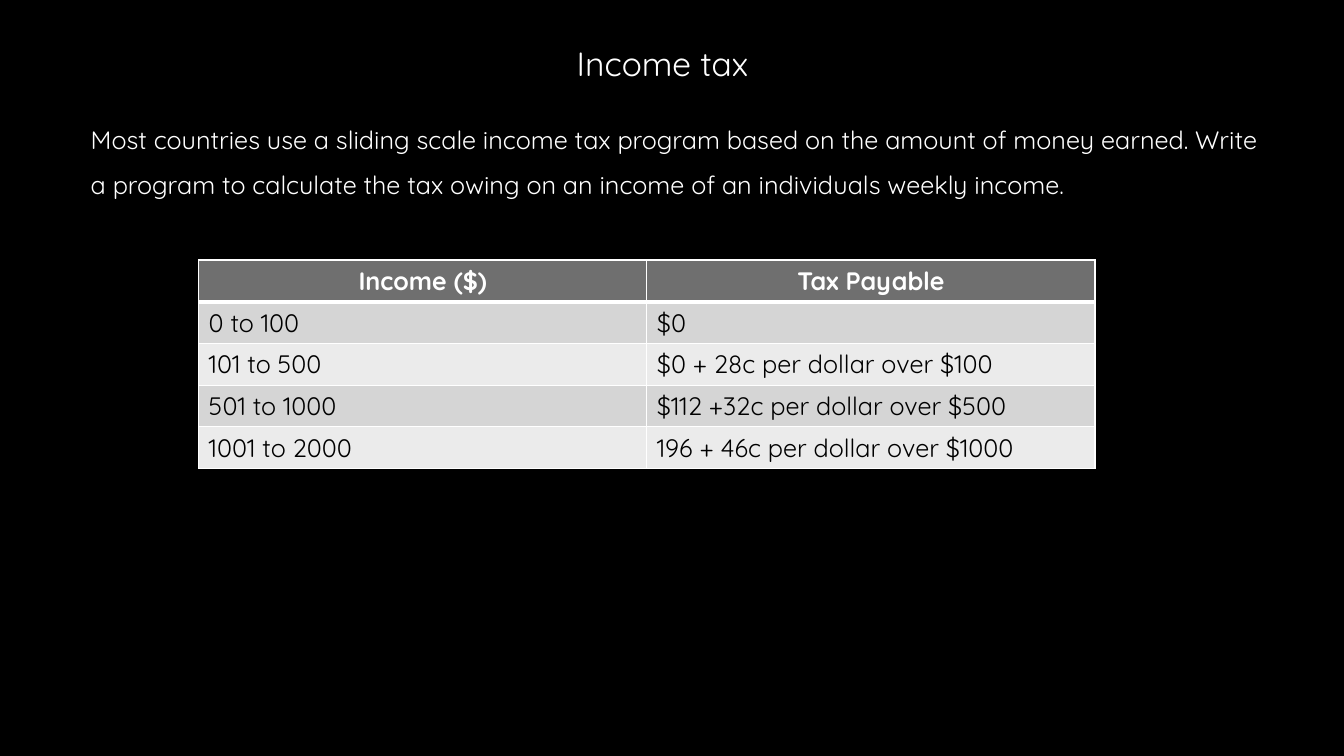
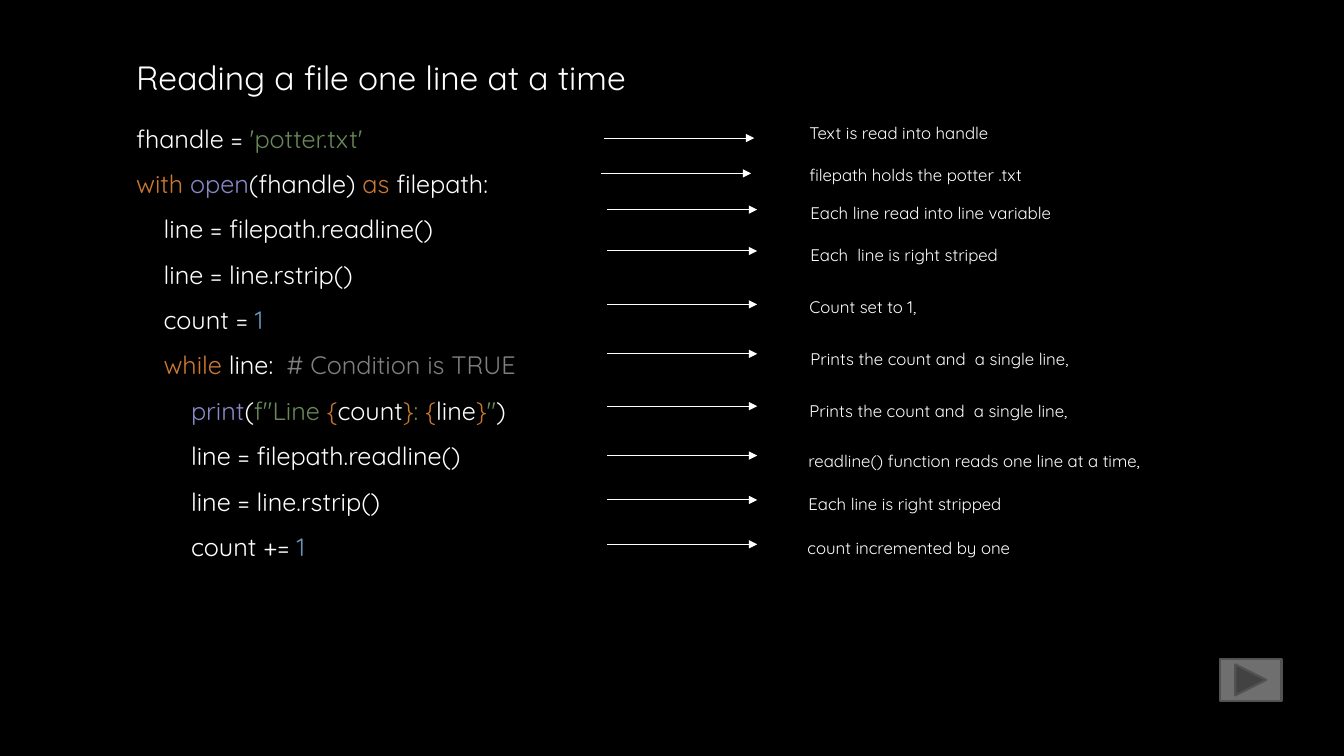
"""Build two slides on an income tax exercise and on reading a file line by line."""
import pptx
import pptx.dml.color
import pptx.enum.shapes
import pptx.enum.text
import pptx.oxml
import pptx.oxml.ns
import pptx.util

Inches = pptx.util.Inches
Pt = pptx.util.Pt
ALIGN = pptx.enum.text.PP_ALIGN
FONT = "Quicksand"
COLOURS = {
    "background": "000000", "text": "FFFFFF", "dark_text": "000000",
    "header": "6F6F6F", "odd_row": "D5D5D5", "even_row": "EBEBEB",
    "button": "6F6F6F", "button_line": "525252",
    "string": "6A8759", "keyword": "CC7832", "builtin": "8888C6",
    "number": "6897BB", "comment": "808080",
}

TAX_TITLE = "Income tax"
TAX_TASK = ("Most countries use a sliding scale income tax program based on the amount of "
            "money earned. Write a program to calculate the tax owing on an income of an "
            "individuals weekly income.")
TAX_ROWS = [
    ("Income ($)", "Tax Payable"),
    ("0 to 100", "$0"),
    ("101 to 500", "$0 + 28c per dollar over $100"),
    ("501 to 1000", "$112 +32c per dollar over $500"),
    ("1001 to 2000", "196 + 46c per dollar over $1000"),
]

FILE_TITLE = "Reading a file one line at a time"
CODE_LINES = [
    [("fhandle = ", "text"), ("'potter.txt'", "string")],
    [("with ", "keyword"), ("open", "builtin"), ("(fhandle) ", "text"),
     ("as ", "keyword"), ("filepath:", "text")],
    [("    line = filepath.readline()", "text")],
    [("    line = line.rstrip()", "text")],
    [("    count = ", "text"), ("1", "number")],
    [("    while ", "keyword"), ("line:  ", "text"), ("# Condition is TRUE", "comment")],
    [("        print", "builtin"), ("(", "text"), ('f"Line ', "string"), ("{", "keyword"),
     ("count", "text"), ("}", "keyword"), (": ", "string"), ("{", "keyword"),
     ("line", "text"), ("}", "keyword"), ('"', "string"), (")", "text")],
    [("        line = filepath.readline()", "text")],
    [("        line = line.rstrip()", "text")],
    [("        count += ", "text"), ("1", "number")],
]
NOTE_LEFT = 7.93
ARROW_LEFT = 6.02
ARROW_LENGTH = 1.49
NOTES = [
    ("Text is read into handle", NOTE_LEFT, 1.07, 5.99, 1.37),
    ("filepath holds the potter .txt", NOTE_LEFT, 1.49, 5.96, 1.72),
    ("Each line read into line variable", 7.94, 1.86, ARROW_LEFT, 2.08),
    ("Each  line is right striped", 7.94, 2.28, ARROW_LEFT, 2.49),
    ("Count set to 1,", NOTE_LEFT, 2.79, ARROW_LEFT, 3.02),
    ("Prints the count and  a single line,", 7.94, 3.31, ARROW_LEFT, 3.51),
    ("Prints the count and  a single line,", NOTE_LEFT, 3.83, ARROW_LEFT, 4.03),
    ("readline() function reads one line at a time,", 7.92, 4.32, ARROW_LEFT, 4.52),
    ("Each line is right stripped", 7.92, 4.75, ARROW_LEFT, 4.96),
    ("count incremented by one", 7.91, 5.19, ARROW_LEFT, 5.4),
]

FRAME_FORMAT = {
    "word_wrap": True,
    "auto_size": pptx.enum.text.MSO_AUTO_SIZE.NONE,
    "vertical_anchor": pptx.enum.text.MSO_ANCHOR.TOP,
}
PARAGRAPH_FORMAT = {"alignment": ALIGN.LEFT, "space_before": Pt(0), "line_spacing": 1.0}
SPACED_FORMAT = PARAGRAPH_FORMAT | {"line_spacing": 1.5}
HEADER_FORMAT = PARAGRAPH_FORMAT | {"alignment": ALIGN.CENTER}


def set_attributes(target, values):
    for name, value in values.items():
        setattr(target, name, value)


def colour(name):
    return pptx.dml.color.RGBColor.from_string(COLOURS[name])


def fill_solid(fill, name):
    fill.solid()
    fill.fore_color.rgb = colour(name)


def add_element(parent, xml):
    parent.append(pptx.oxml.parse_xml(xml.replace(" ", f" {pptx.oxml.ns.nsdecls('a')} ", 1)))


def place(shape, box):
    set_attributes(shape, dict(zip(("left", "top", "width", "height"), map(Inches, box))))


def write_lines(frame, lines, size, paragraph_format, bold=False):
    for index, line in enumerate(lines):
        paragraph = frame.add_paragraph() if index else frame.paragraphs[0]
        properties = paragraph._p.get_or_add_pPr()
        properties.set("marL", "0")
        properties.set("indent", "0")
        add_element(properties, "<a:buNone />")
        set_attributes(paragraph, paragraph_format)
        for text, colour_name in line:
            run = paragraph.add_run()
            run.text = text
            set_attributes(run.font, {"name": FONT, "size": Pt(size), "bold": bold})
            run.font.color.rgb = colour(colour_name)


def write_box(shape, box, lines, size, paragraph_format=SPACED_FORMAT):
    place(shape, box)
    set_attributes(shape.text_frame, FRAME_FORMAT)
    write_lines(shape.text_frame, lines, size, paragraph_format)


def add_slide(presentation, title, title_box, body_lines, body_box):
    slide = presentation.slides.add_slide(presentation.slide_layouts[1])
    write_box(slide.shapes.title, title_box, [[(title, "text")]], 24, PARAGRAPH_FORMAT)
    write_box(slide.placeholders[1], body_box, body_lines, 18)
    return slide


def add_borders(cell, widths):
    properties = cell._tc.get_or_add_tcPr()
    for side, width in widths.items():
        add_element(properties, f'<a:ln{side} w="{Pt(width)}"><a:solidFill>'
                    f'<a:srgbClr val="{COLOURS["text"]}"/></a:solidFill></a:ln{side}>')


def add_tax_table(slide):
    table = slide.shapes.add_table(len(TAX_ROWS), 2, Inches(1.97), Inches(2.58),
                                   Inches(8.89), Inches(2.03)).table
    for row_index, row in enumerate(TAX_ROWS):
        is_header = row_index == 0
        fill_name = "header" if is_header else ("even_row", "odd_row")[row_index % 2]
        for column_index, text in enumerate(row):
            cell = table.cell(row_index, column_index)
            add_borders(cell, {"L": 1, "R": 1, "T": 3 if row_index == 1 else 1,
                               "B": 3 if is_header else 1})
            fill_solid(cell.fill, fill_name)
            write_lines(cell.text_frame, [[(text, "text" if is_header else "dark_text")]], 18,
                        HEADER_FORMAT if is_header else PARAGRAPH_FORMAT, is_header)


def add_arrow(slide, left, top):
    arrow = slide.shapes.add_connector(
        pptx.enum.shapes.MSO_CONNECTOR.STRAIGHT, Inches(left), Inches(top),
        Inches(left + ARROW_LENGTH), Inches(top))
    arrow.line.color.rgb = colour("text")
    arrow.line.width = Pt(0.75)
    add_element(arrow.line._get_or_add_ln(), '<a:tailEnd type="triangle"/>')
    add_element(arrow._element.spPr, "<a:effectLst />")


def add_forward_button(slide):
    button = slide.shapes.add_shape(
        pptx.enum.shapes.MSO_SHAPE.ACTION_BUTTON_FORWARD_OR_NEXT,
        Inches(12.1), Inches(6.54), Inches(0.61), Inches(0.41))
    button.shadow.inherit = False
    fill_solid(button.fill, "button")
    button.line.color.rgb = colour("button_line")
    button.line.width = Pt(1.5)


def main():
    presentation = pptx.Presentation()
    set_attributes(presentation, {"slide_width": Inches(13.33), "slide_height": Inches(7.5)})
    fill_solid(presentation.slide_master.background.fill, "background")

    tax_slide = add_slide(presentation, TAX_TITLE, (5.62, 0.38, 2.15, 0.5),
                          [[(TAX_TASK, "text")]], (0.8, 1.03, 11.79, 0.95))
    add_tax_table(tax_slide)

    file_slide = add_slide(presentation, FILE_TITLE, (1.25, 0.51, 5.41, 0.5),
                           CODE_LINES, (1.25, 1.02, 5.23, 4.59))
    for text, left, top, arrow_left, arrow_top in NOTES:
        add_arrow(file_slide, arrow_left, arrow_top)
        note = file_slide.shapes.add_textbox(0, 0, 0, 0)
        write_box(note, (left, top, 4, 0.37), [[(text, "text")]], 12)
    add_forward_button(file_slide)
    presentation.save("out.pptx")


if __name__ == "__main__":
    main()
